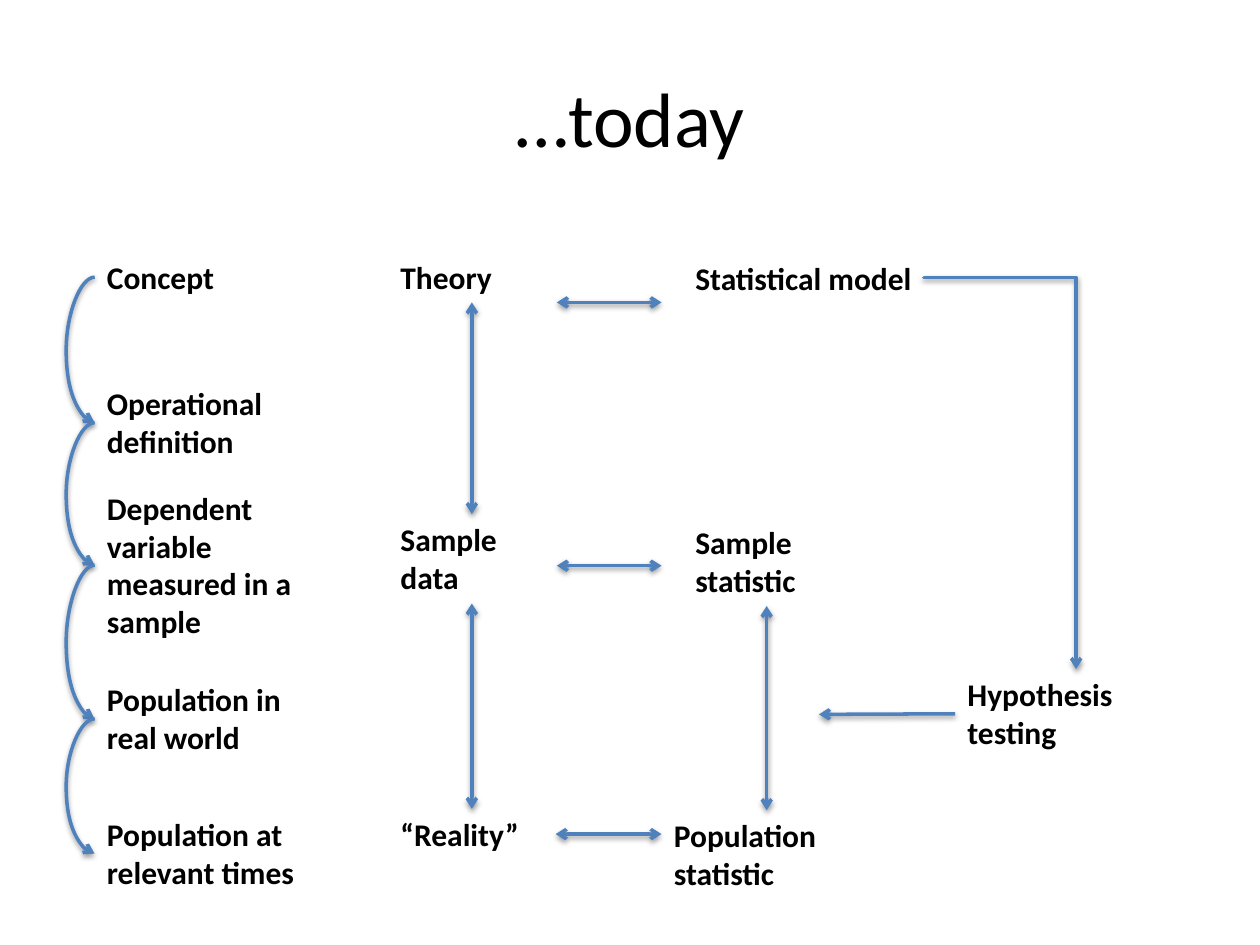
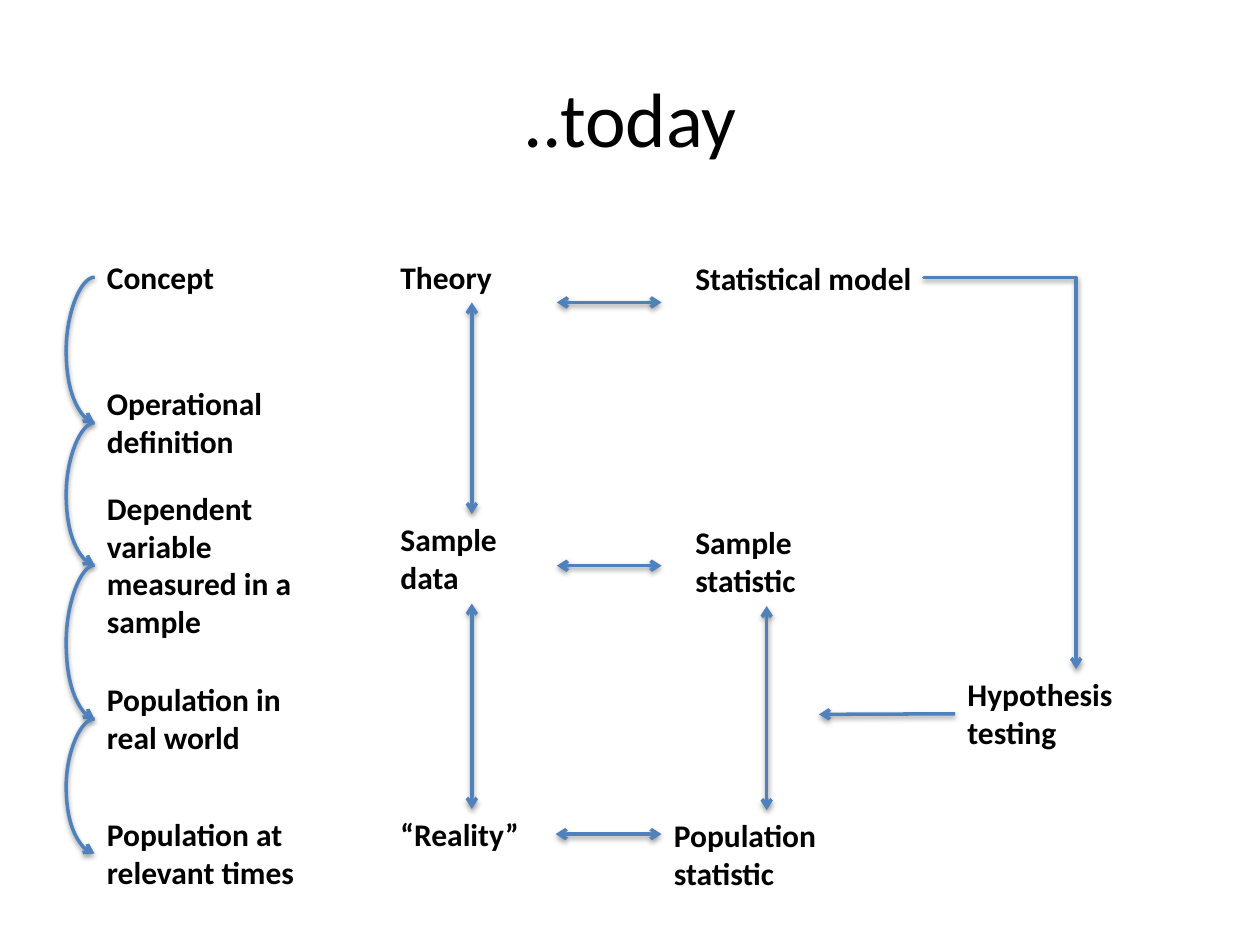
from dataclasses import dataclass
from lxml.etree import SubElement as Sub
from pptx import Presentation
from pptx.dml.color import RGBColor as Rgb
from pptx.enum.shapes import MSO_CONNECTOR as Kind
from pptx.enum.text import MSO_ANCHOR as Anchor, MSO_AUTO_SIZE as Fit, PP_ALIGN as Align
from pptx.oxml.ns import qn
from pptx.util import Emu, Inches, Pt


@dataclass(frozen=True)
class Theme:
    font: str = "Calibri"
    ink: str = "000000"
    blue: str = "4F81BD"
    head: int = 44
    body: int = 18
    line: int = 2
    blur: float = 3.1
    drop: float = 1.6
    fade: int = 38000


THEME = Theme()
TOP, LEFT, FOOT, RIGHT = range(4)
ROW, TALL = 0.4, 0.71


def add_text(slide, text, x, y, wide, high, size=THEME.body, bold=True):
    box = slide.shapes.add_textbox(*map(Inches, (x, y, wide, high)))
    frame = box.text_frame
    frame.word_wrap = True
    for i, part in enumerate(text.split("\n")):
        para = frame.add_paragraph() if i else frame.paragraphs[0]
        run = para.add_run()
        run.text = part
        run.font.name = THEME.font
        run.font.size = Pt(size)
        run.font.bold = bold
        run.font.color.rgb = Rgb.from_string(THEME.ink)
    return box


def add_label(slide, *spot):
    box = add_text(slide, *spot)
    box.text_frame.auto_size = Fit.SHAPE_TO_FIT_TEXT
    return box


def add_shade(link):
    fx = Sub(link._element.spPr, qn("a:effectLst"))
    cast = Sub(fx, qn("a:outerShdw"), blurRad=str(Pt(THEME.blur)),
               dist=str(Pt(THEME.drop)), dir="5400000", rotWithShape="0")
    tone = Sub(cast, qn("a:srgbClr"), val=THEME.ink)
    Sub(tone, qn("a:alpha"), val=str(THEME.fade))


def add_link(slide, start, end, kind=Kind.STRAIGHT, both=False):
    ends = [spot if isinstance(spot[0], (int, float)) else (0, 0) for spot in (start, end)]
    link = slide.shapes.add_connector(kind, *(Inches(n) for spot in ends for n in spot))
    for spot, join in ((start, link.begin_connect), (end, link.end_connect)):
        if not isinstance(spot[0], (int, float)):
            join(*spot)
    link.line.color.rgb = Rgb.from_string(THEME.blue)
    link.line.width = Pt(THEME.line)
    line = link.line._get_or_add_ln()
    if both:
        Sub(line, qn("a:headEnd"), type="arrow")
    Sub(line, qn("a:tailEnd"), type="arrow")
    add_shade(link)
    return link


def turn(link, box, angle, flip, bend):
    link.left, link.top, link.width, link.height = box
    form = link._element.spPr.find(qn("a:xfrm"))
    for key in ("flipH", "flipV"):
        form.attrib.pop(key, None)
    form.set("rot", str(angle * 60000))
    form.set(flip, "1")
    guides = link._element.spPr.find(qn("a:prstGeom")).find(qn("a:avLst"))
    Sub(guides, qn("a:gd"), name="adj1", fmla=f"val {bend}")


def add_title(slide, text, x, y, wide, high):
    box = add_text(slide, text, x, y, wide, high, THEME.head, False)
    box.text_frame.vertical_anchor = Anchor.MIDDLE
    box.text_frame.paragraphs[0].alignment = Align.CENTER


def add_chain(slide, x, y):
    steps = (
        ("Concept", 0, 1.33, ROW),
        ("Operational definition", 1, 1.67, TALL),
        ("Dependent variable measured in a sample", 1.83, 2, 1.31),
        ("Population in real world", 3.35, 2, TALL),
        ("Population at relevant times", 4.42, 2.25, TALL),
    )
    boxes = [add_label(slide, text, x, y + down, wide, high)
             for text, down, wide, high in steps]
    thin = Emu(1588)
    bend = round(Inches(0.25) / thin * 100000)
    for one, two in zip(boxes, boxes[1:]):
        link = add_link(slide, (one, LEFT), (two, LEFT), Kind.CURVE)
        start, end = (box.top + box.height // 2 for box in (one, two))
        turn(link, (Inches(x), start, thin, end - start), 180, "flipV", bend)


def add_levels(slide, x, y):
    wide = 1.33
    levels = (("Theory", 0, ROW), ("Sample\ndata", 2.08, TALL), ("“Reality”", 4.42, ROW))
    boxes = [add_label(slide, text, x, y + down, wide, high) for text, down, high in levels]
    for one, two in zip(boxes, boxes[1:]):
        add_link(slide, (one, FOOT), (two, TOP), both=True)
    gap = x + wide + 0.01
    for down in (0.4, 2.49):
        add_link(slide, (gap, y + down), (gap + 0.83, y + down), both=True)
    add_link(slide, (boxes[-1], RIGHT), (gap + 0.83, y + 4.62), both=True)


def add_stats(slide, x, y):
    add_label(slide, "Statistical model", x + 0.17, y + 0.01, 2.17, TALL)
    sample = add_label(slide, "Sample\nstatistic", x + 0.17, y + 2.1, 1.33, TALL)
    people = add_label(slide, "Population statistic", x, y + 4.43, 1.67, TALL)
    add_link(slide, (sample, FOOT), (people, TOP), both=True)


def add_test(slide, x, y):
    wide, high = 1.21, 3.11
    test = add_label(slide, "Hypothesis testing", x + 0.25, y + high, 1.92, TALL)
    link = add_link(slide, (x, y), (test, TOP), Kind.ELBOW)
    shift = (high - wide) / 2
    box = [Inches(n) for n in (x - shift, y + shift, high, wide)]
    turn(link, box, 270, "flipH", 100)
    add_link(slide, (test, LEFT), (x - 0.83, y + 3.47))


def add_page(deck, title):
    slide = deck.slides.add_slide(deck.slide_layouts[6])
    add_title(slide, title, 0.5, 0.3, 9, 1.25)
    add_chain(slide, 0.75, 2)
    add_levels(slide, 3.08, 2)
    add_stats(slide, 5.25, 2)
    add_test(slide, 7.33, 2.2)


def main():
    deck = Presentation()
    deck.slide_width, deck.slide_height = Inches(10), Inches(7.5)
    for title in ("…today", "..today"):
        add_page(deck, title)
    deck.save("out.pptx")


if __name__ == "__main__":
    main()
